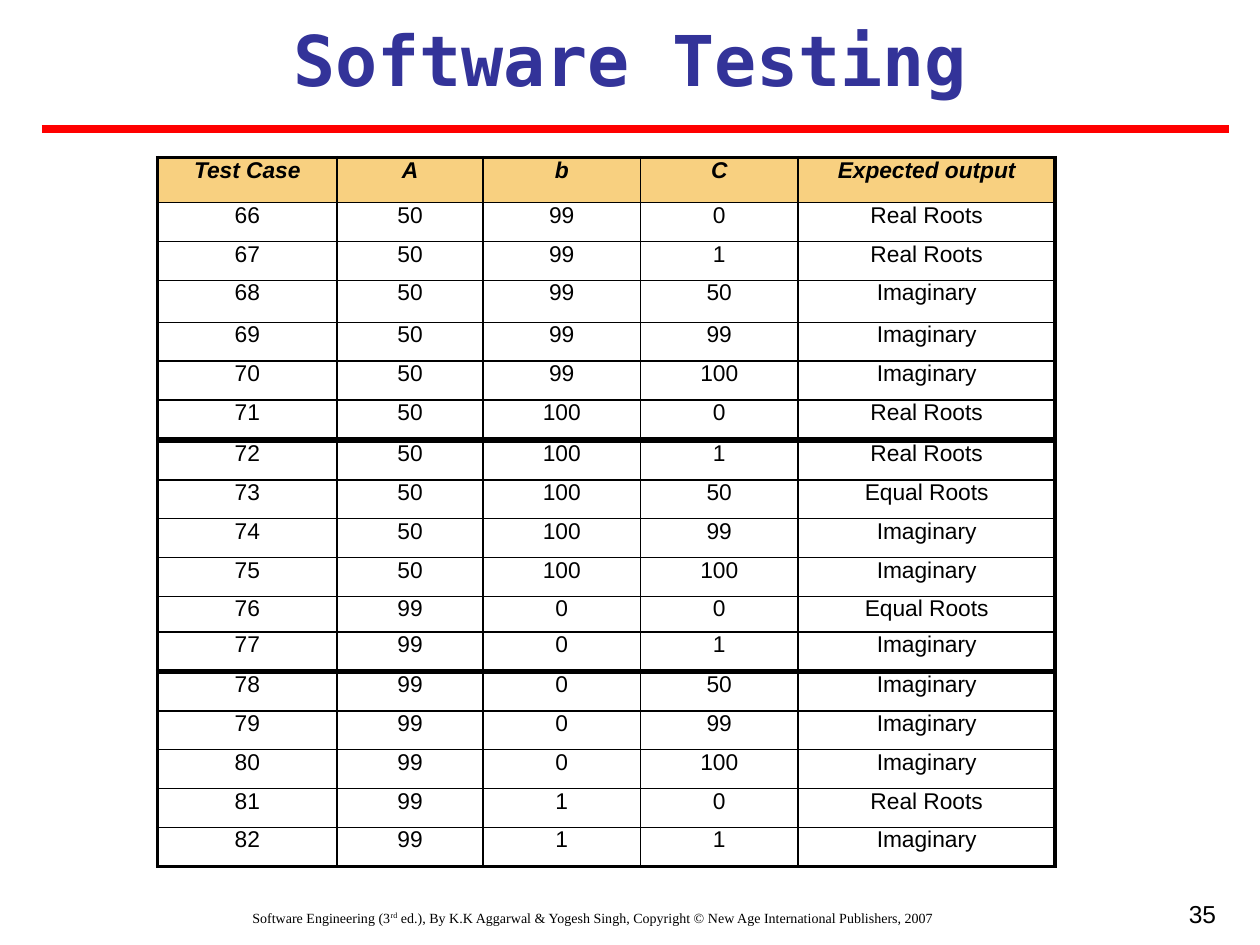
import lxml.etree
import pptx
import pptx.dml.color
import pptx.enum.shapes
import pptx.enum.text
import pptx.oxml.ns
import pptx.util

COLORS = {"ink": "000000", "title": "333399", "rule": "FF0000", "header": "F8D080"}
GRID_COLS, GRID_ROWS = 120, 90
ALIGN = pptx.enum.text.PP_ALIGN
qn = pptx.oxml.ns.qn


class SlideBuilder:
    """Holds the style and the current slide; lengths are grid columns and rows."""
    font, size = "Arial", 13
    thin, thick = 1, 2.25

    def __init__(self, prs):
        self.slide = prs.slides.add_slide(prs.slide_layouts[6])
        self.col = prs.slide_width / GRID_COLS
        self.row = prs.slide_height / GRID_ROWS

    def x(self, cols):
        return pptx.util.Emu(round(cols * self.col))

    def y(self, rows):
        return pptx.util.Emu(round(rows * self.row))

    def color(self, name):
        return pptx.dml.color.RGBColor.from_string(COLORS[name])

    def run(self, p, text, size=None, font=None, color="ink", bold=False, italic=False):
        r = p.add_run()
        r.text = text
        r.font.size = pptx.util.Pt(size or self.size)
        r.font.name = font or self.font
        r.font.color.rgb = self.color(color)
        r.font.bold, r.font.italic = bold, italic
        return r

    def text(self, left, top, width, height, align):
        sp = self.slide.shapes.add_textbox(self.x(left), self.y(top), self.x(width), self.y(height))
        tf = sp.text_frame
        tf.word_wrap = True
        p = tf.paragraphs[0]
        p.alignment = align
        return p

    def rule(self, left, right, top, width):
        line = self.slide.shapes.add_connector(
            pptx.enum.shapes.MSO_CONNECTOR.STRAIGHT,
            self.x(left), self.y(top), self.x(right), self.y(top))
        line.line.color.rgb = self.color("rule")
        line.line.width = pptx.util.Pt(width)
        lxml.etree.SubElement(line._element.spPr, qn("a:effectLst"))

    def border(self, cell, side, width):
        ln = lxml.etree.SubElement(cell._tc.get_or_add_tcPr(), qn(f"a:ln{side}"),
                                   w=str(pptx.util.Pt(width)))
        fill = lxml.etree.SubElement(ln, qn("a:solidFill"))
        lxml.etree.SubElement(fill, qn("a:srgbClr"), val=COLORS["ink"])

    def table(self, left, top, col_widths, row_heights, rows, has_header=False):
        table = self.slide.shapes.add_table(
            len(rows), len(col_widths), self.x(left), self.y(top),
            self.x(sum(col_widths)), self.y(sum(row_heights))).table
        table.first_row = table.horz_banding = False
        for column, width in zip(table.columns, col_widths):
            column.width = self.x(width)
        for row, height in zip(table.rows, row_heights):
            row.height = self.y(height)
        last_row, last_col = len(rows) - 1, len(col_widths) - 1
        for i, values in enumerate(rows):
            for j, value in enumerate(values):
                cell = table.cell(i, j)
                cell.margin_top = cell.margin_bottom = 0
                # Heavy frame outside, thin lines inside
                outer = {"L": j == 0, "R": j == last_col, "T": i == 0, "B": i == last_row}
                for side, is_outer in outer.items():
                    self.border(cell, side, self.thick if is_outer else self.thin)
                header = has_header and i == 0
                if header:
                    cell.fill.solid()
                    cell.fill.fore_color.rgb = self.color("header")
                else:
                    cell.fill.background()
                p = cell.text_frame.paragraphs[0]
                p.alignment = ALIGN.CENTER
                self.run(p, str(value), bold=header, italic=header)


# Boundary values for a, b and c, in the order the test cases run through them
BOUNDARIES = [0, 1, 50, 99, 100]


def test_case(number):
    i = number - 1
    a, b, c = (BOUNDARIES[i // step % 5] for step in (25, 5, 1))
    d = b * b - 4 * a * c
    output = "Real Roots" if d > 0 else "Equal Roots" if d == 0 else "Imaginary"
    return number, a, b, c, output


def main():
    prs = pptx.Presentation()
    prs.slide_width, prs.slide_height = pptx.util.Inches(10), pptx.util.Inches(7.5)
    s = SlideBuilder(prs)

    # Footer and page number
    p = s.text(3, 86, 107, 4, ALIGN.CENTER)
    footer = {"size": 8, "font": "Times New Roman"}
    s.run(p, "Software Engineering (3", **footer)
    s.run(p, "rd", **footer).font._element.set("baseline", "30000")
    s.run(p, " ed.), By K.K Aggarwal & Yogesh Singh, "
             "Copyright © New Age International Publishers, 2007", **footer)
    s.run(s.text(89, 85, 28, 7, ALIGN.RIGHT), "35", size=14)

    # Title and red rule
    s.run(s.text(4, 1, 112, 9.2, ALIGN.CENTER), "Software Testing",
          size=40, font="DejaVu Sans Mono", color="title", bold=True)
    s.rule(4, 117, 12.25, 4.5)

    # Test cases, in three stacked tables
    col_widths = [17.1, 13.9, 15, 15, 24.5]
    header = ("Test Case", "A", "b", "C", "Expected output")
    line = 3.7
    blocks = [
        (15, [4.3, line, line, 4, line, line, line], range(66, 72)),
        (42, [line] * 4 + [3.4, line], range(72, 78)),
        (64, [line] * 5, range(78, 83)),
    ]
    for k, (top, heights, numbers) in enumerate(blocks):
        rows = [test_case(n) for n in numbers]
        if k == 0:
            rows.insert(0, header)
        s.table(15, top, col_widths, heights, rows, has_header=k == 0)

    prs.save("out.pptx")


if __name__ == "__main__":
    main()
